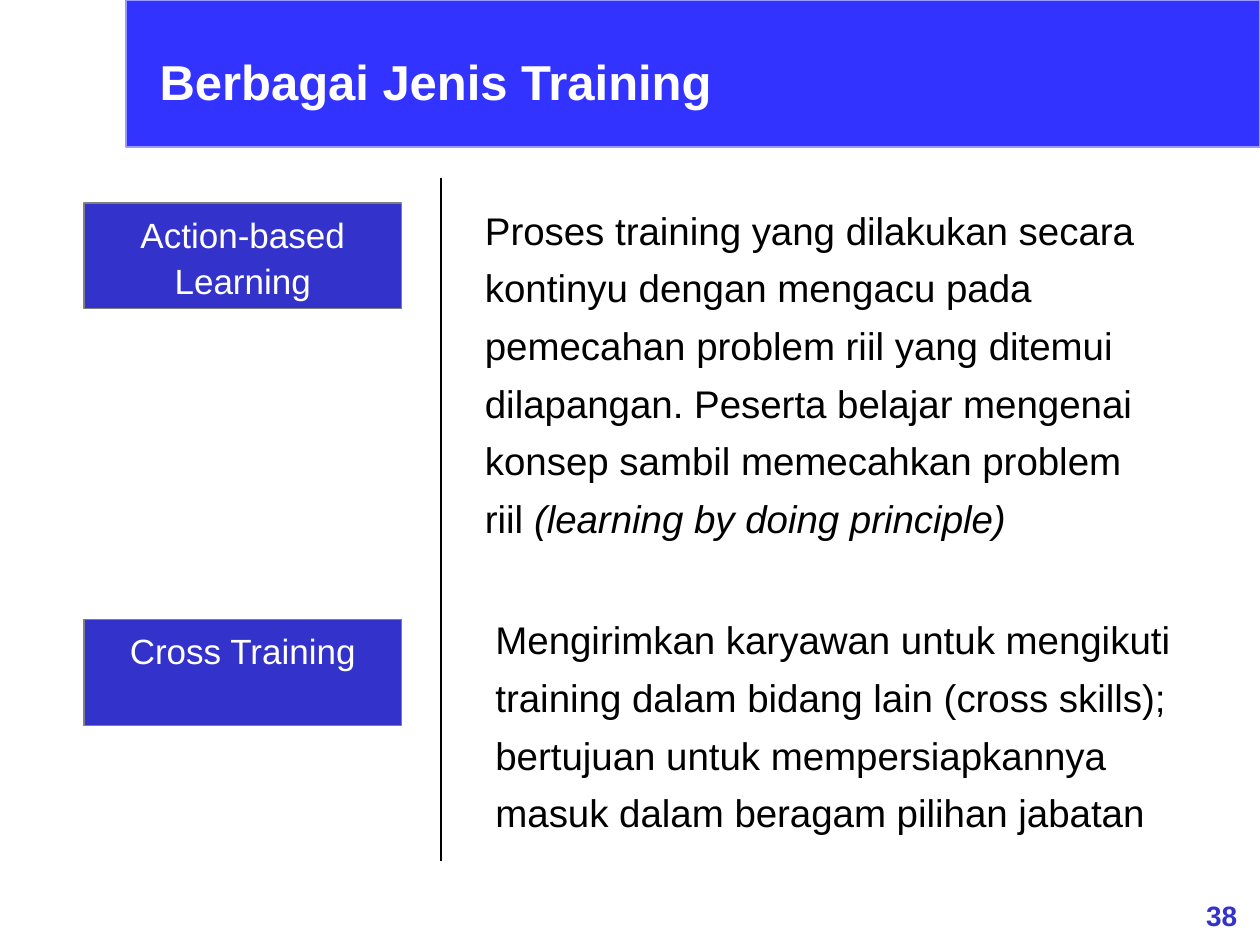
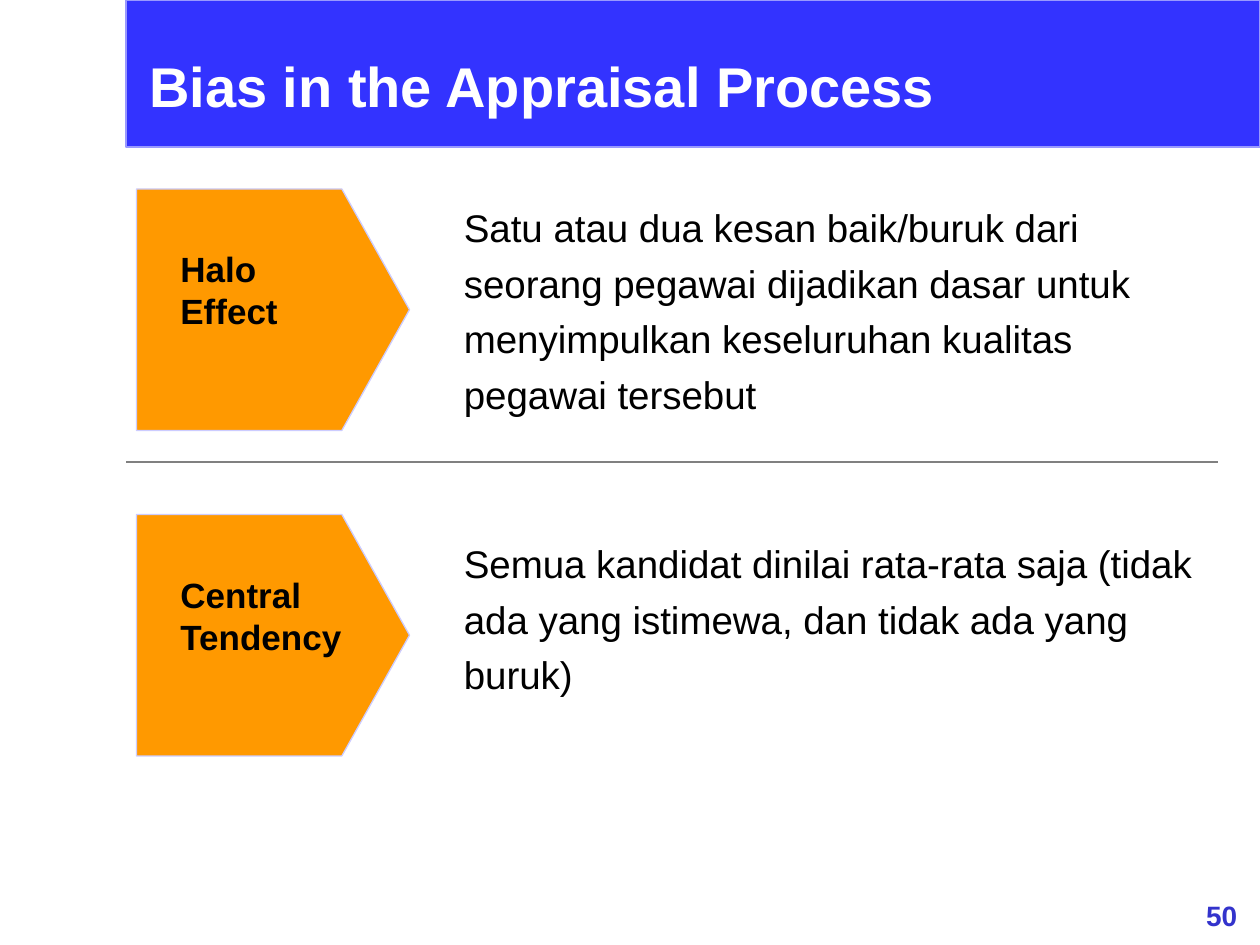
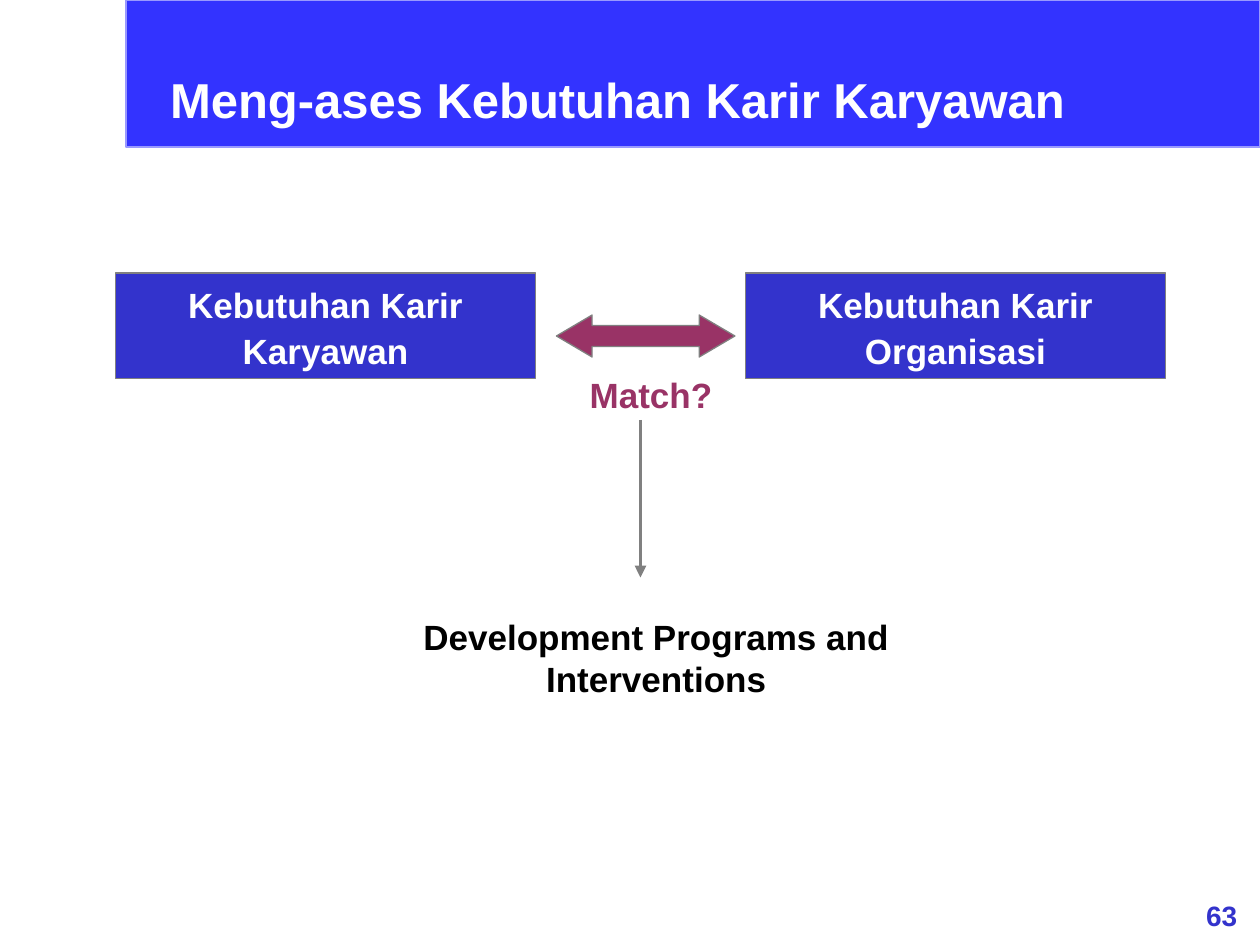
from pptx import Presentation
from pptx.dml.color import RGBColor
from pptx.enum.dml import MSO_THEME_COLOR
from pptx.enum.shapes import MSO_CONNECTOR, MSO_SHAPE
from pptx.enum.text import MSO_ANCHOR, MSO_AUTO_SIZE, PP_ALIGN
from pptx.oxml.ns import qn
from pptx.util import Inches, Pt
from lxml import etree

RECTANGLE = MSO_SHAPE.RECTANGLE
PENTAGON = MSO_SHAPE.PENTAGON
DOUBLE_ARROW = MSO_SHAPE.LEFT_RIGHT_ARROW
STRAIGHT = MSO_CONNECTOR.STRAIGHT
LEFT, CENTER = PP_ALIGN.LEFT, PP_ALIGN.CENTER
TOP = MSO_ANCHOR.TOP
NO_FIT = MSO_AUTO_SIZE.NONE
BACKGROUND = MSO_THEME_COLOR.BACKGROUND_1

BAND_BLUE = RGBColor(0x33, 0x33, 0xFF)
BAND_EDGE = RGBColor(0x99, 0x99, 0xFF)
LABEL_BLUE = RGBColor(0x33, 0x33, 0xCC)
ORANGE = RGBColor(0xFF, 0x99, 0x00)
PALE_EDGE = RGBColor(0xCC, 0xCC, 0xFF)
PLUM = RGBColor(0x99, 0x33, 0x66)
GRAY = RGBColor(0x80, 0x80, 0x80)
BLACK = RGBColor(0, 0, 0)
WHITE = RGBColor(0xFF, 0xFF, 0xFF)

FONT = "Arial"
COLUMNS, ROWS = 120, 90
LABEL_HEIGHT = 10.08

TRAININGS = [
    dict(label="Action-based Learning", label_top=19.33, text_at=(45, 18, 66.8, 34.2),
         text=[("Proses training yang dilakukan secara kontinyu dengan mengacu pada "
                "pemecahan problem riil yang ditemui dilapangan. Peserta belajar mengenai "
                "konsep sambil memecahkan problem riil ", False),
               ("(learning by doing principle)", True)]),
    dict(label="Cross Training", label_top=59, text_at=(46, 57, 66.8, 23.2),
         text="Mengirimkan karyawan untuk mengikuti training dalam bidang lain "
              "(cross skills); bertujuan untuk mempersiapkannya masuk dalam beragam "
              "pilihan jabatan"),
]
BIASES = [
    dict(label="Halo\nEffect", top=18, text_top=18,
         text="Satu atau dua kesan baik/buruk dari seorang pegawai dijadikan dasar "
              "untuk menyimpulkan keseluruhan kualitas pegawai tersebut"),
    dict(label="Central Tendency", top=49, text_top=50,
         text="Semua kandidat dinilai rata-rata saja (tidak ada yang istimewa, "
              "dan tidak ada yang buruk)"),
]
NEEDS = ["Kebutuhan Karir Karyawan", "Kebutuhan Karir Organisasi"]

deck = Presentation()
deck.slide_width, deck.slide_height = Inches(10), Inches(7.5)
layout = deck.slide_layouts[5]
layout.background.fill.solid()
layout.background.fill.fore_color.theme_color = BACKGROUND


def grid(*lengths):
    sizes = (deck.slide_width / COLUMNS, deck.slide_height / ROWS)
    return [round(length * sizes[i % 2]) for i, length in enumerate(lengths)]


def write(shape, text, size=20, color=BLACK, bold=False, align=LEFT, spacing=1.0, wrap=True):
    frame = shape.text_frame
    frame.auto_size = NO_FIT
    frame.word_wrap = wrap
    frame.vertical_anchor = TOP
    frame.margin_left = frame.margin_right = Inches(0.1)
    frame.margin_top = frame.margin_bottom = Inches(0.05)
    lines = [[(line, False)] for line in text.split("\n")] if isinstance(text, str) else [text]
    for i, line in enumerate(lines):
        para = frame.add_paragraph() if i else frame.paragraphs[0]
        para.alignment = align
        para.line_spacing = spacing
        for words, italic in line:
            span = para.add_run()
            span.text = words
            font = span.font
            font.name, font.size, font.bold, font.italic = FONT, Pt(size), bold, italic
            font.color.rgb = color


def add_text(page, at, text, **style):
    write(page.shapes.add_textbox(*grid(*at)), text, **style)


def add_block(page, kind, at, fill, edge):
    block = page.shapes.add_shape(kind, *grid(*at))
    block.shadow.inherit = False
    block.fill.solid()
    block.fill.fore_color.rgb = fill
    block.line.color.rgb = edge
    block.line.width = Pt(0.75)
    return block


def add_label(page, at, text, bold=False):
    label = add_block(page, RECTANGLE, at, LABEL_BLUE, GRAY)
    write(label, text, color=WHITE, bold=bold, align=CENTER, spacing=1.1)


def add_line(page, ends, color, width=0.75, arrow=False):
    line = page.shapes.add_connector(STRAIGHT, *grid(*ends))
    line.line.color.rgb = color
    line.line.width = Pt(width)
    if arrow:
        etree.SubElement(line.line._get_or_add_ln(), qn("a:tailEnd"), type="triangle")
    etree.SubElement(line.element.spPr, qn("a:effectLst"))


def add_page(title, number, at, size=28):
    page = deck.slides.add_slide(layout)
    heading = page.shapes.title
    heading.left, heading.top, heading.width, heading.height = grid(*at)
    write(heading, title, size=size, color=WHITE, bold=True)
    add_text(page, (112.7, 85, 7.3, 4.4), number, size=16, color=LABEL_BLUE,
             bold=True, align=CENTER)
    return page


def add_shared_band(page):
    band = add_block(page, RECTANGLE, (12, 0, 108, 14), BAND_BLUE, BAND_EDGE)
    layout.shapes.element.insert(2, band.element)


def build_trainings():
    page = add_page("Berbagai Jenis Training", "38", (14, 4.33, 106, 6.8))
    add_shared_band(page)
    add_line(page, (42, 17, 42, 82), BLACK)
    for training in TRAININGS:
        add_label(page, (8, training["label_top"], 30.25, LABEL_HEIGHT), training["label"])
        add_text(page, training["text_at"], training["text"], size=22, spacing=1.25)


def build_biases():
    page = add_page("Bias in the Appraisal Process", "50", (13, 4.33, 107, 7.7), size=32)
    for bias in BIASES:
        pointer = add_block(page, PENTAGON, (13, bias["top"], 26, 23), ORANGE, PALE_EDGE)
        pointer.adjustments[0] = 0.28
        add_text(page, (16, bias["top"] + 5, 24, 9.2), bias["label"], bold=True)
        add_text(page, (43, bias["text_top"], 72, 22.3), bias["text"], size=22, spacing=1.2)
    add_line(page, (12, 44, 116, 44), GRAY)


def build_career_needs():
    page = add_page("Meng-ases Kebutuhan Karir Karyawan", "63", (15, 6, 105, 6.8))
    for i, need in enumerate(NEEDS):
        add_label(page, (11 + 60 * i, 26, 40, LABEL_HEIGHT), need, bold=True)
    arrow = add_block(page, DOUBLE_ARROW, (53, 30, 17, 4), PLUM, GRAY)
    arrow.adjustments[0], arrow.adjustments[1] = 0.5, 0.85
    add_text(page, (55, 35, 14, 5.3), "Match?", color=PLUM, bold=True, align=CENTER, wrap=False)
    add_text(page, (36, 58, 53, 9.2), "Development Programs and Interventions",
             bold=True, align=CENTER)
    add_line(page, (61, 40, 61, 55), GRAY, width=2.25, arrow=True)


def main():
    build_trainings()
    build_biases()
    build_career_needs()
    deck.save("out.pptx")


if __name__ == "__main__":
    main()
